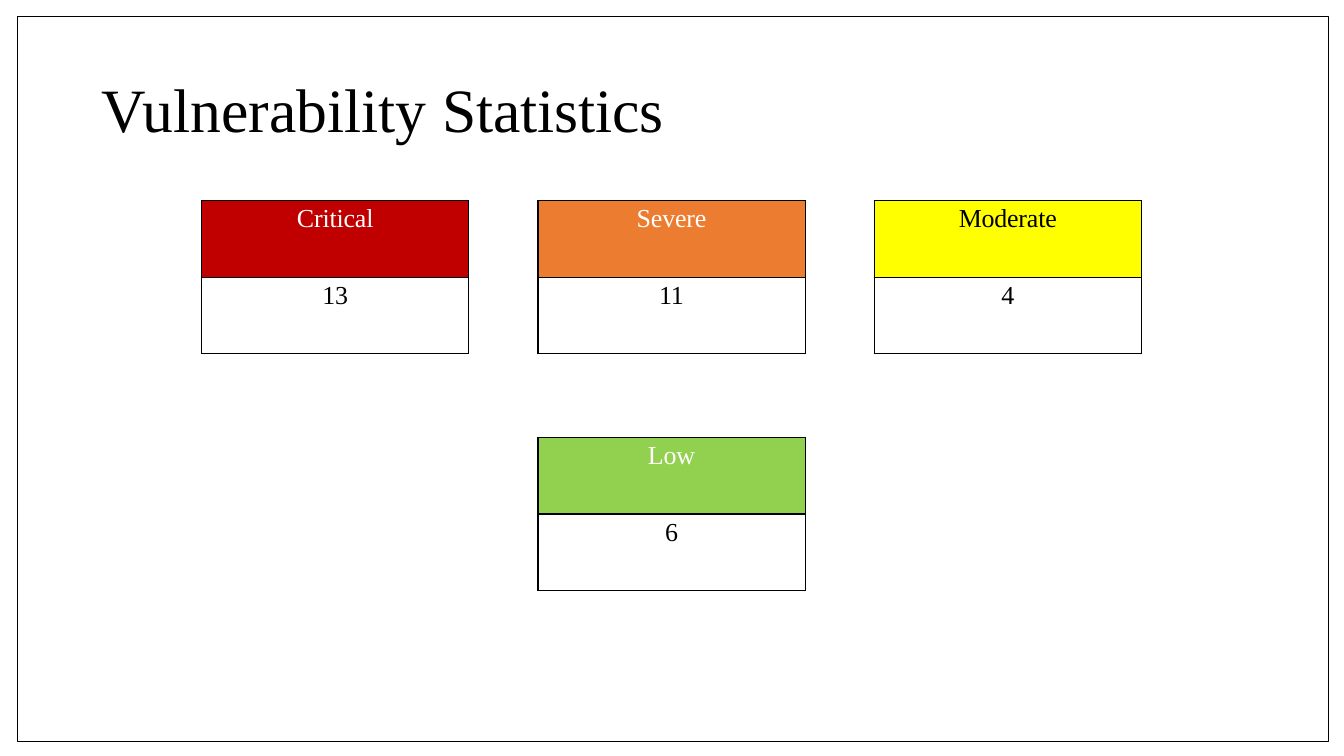
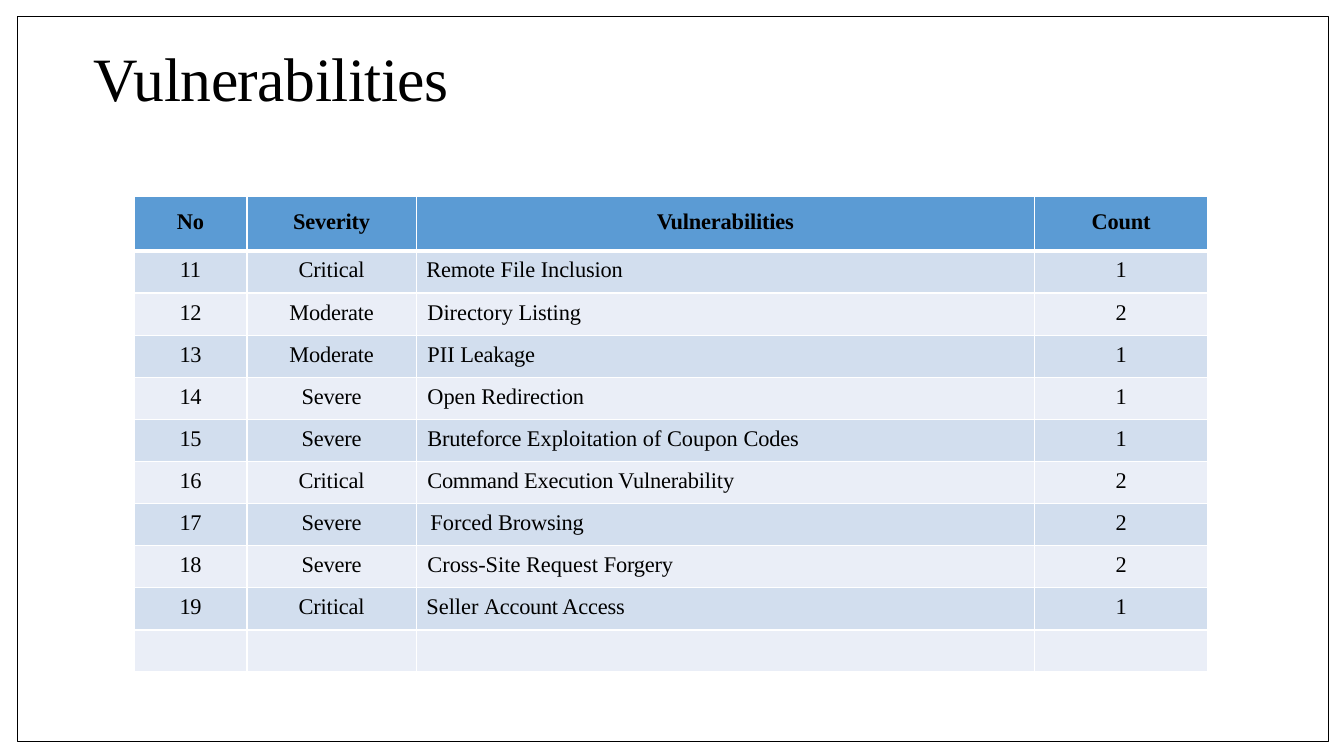
import pptx
import pptx.util
import pptx.dml.color
import pptx.enum.shapes
import pptx.enum.text
import lxml.etree
from pptx.util import Inches

FONT = "Times New Roman"
BLACK, WHITE = "000000", "FFFFFF"
HEADER_BLUE, BAND_DARK, BAND_LIGHT = "5B9BD4", "D2DEEE", "EAEEF7"
LEFT = pptx.enum.text.PP_ALIGN.LEFT
CENTER = pptx.enum.text.PP_ALIGN.CENTER
color = pptx.dml.color.RGBColor.from_string


def add_spans(para, spans, size, ink, bold=False):
    for text, spacing in spans:
        span = para.add_run()
        span.text = text
        span.font.name = FONT
        span.font.size = pptx.util.Pt(size)
        span.font.bold = bold
        span.font.color.rgb = color(ink)
        span.font._element.set("spc", str(round(spacing * 100)))


def format_cell(cell, fill, border, top, align=CENTER, indent=0, bottom_width=1, top_width=1):
    cell.margin_left = cell.margin_right = cell.margin_bottom = 0
    cell.margin_top = Inches(top)
    properties = cell._tc.get_or_add_tcPr()
    namespace = "{http://schemas.openxmlformats.org/drawingml/2006/main}"
    for side, width in (("L", 1), ("R", 1), ("T", top_width), ("B", bottom_width)):
        line = lxml.etree.SubElement(properties, namespace + "ln" + side, w=str(pptx.util.Pt(width)))
        solid = lxml.etree.SubElement(line, namespace + "solidFill")
        lxml.etree.SubElement(solid, namespace + "srgbClr", val=border)
    if fill:
        cell.fill.solid()
        cell.fill.fore_color.rgb = color(fill)
    else:
        cell.fill.background()
    para = cell.text_frame.paragraphs[0]
    para.alignment = align
    if indent:
        para._p.get_or_add_pPr().set("marL", str(Inches(indent)))
    return para


deck = pptx.Presentation()
deck.slide_width, deck.slide_height = Inches(13.33), Inches(7.5)

titles = [
    ([("Vulnerability ", 0), ("Statistics", -0.1)], 1, 0.69, 5.61),
    ([("Vulnerabilities", -0.4)], 0.92, 0.39, 3.59),
]
for spans, left, top, width in titles:
    page = deck.slides.add_slide(deck.slide_layouts[5])
    title = page.shapes.title
    title.left, title.top = Inches(left), Inches(top)
    title.width, title.height = Inches(width), Inches(0.76)
    box = title.text_frame
    box.margin_left = box.margin_top = Inches(0.01)
    box.margin_right = box.margin_bottom = 0
    box.vertical_anchor = pptx.enum.text.MSO_ANCHOR.TOP
    box.auto_size = pptx.enum.text.MSO_AUTO_SIZE.NONE
    box.word_wrap = True
    box.paragraphs[0].alignment = LEFT
    add_spans(box.paragraphs[0], spans, 44, BLACK)
statistics_page, list_page = deck.slides

cards = [
    ("Critical", "13", "C00000", WHITE, 0, 0),
    ("Severe", "11", "EC7C30", WHITE, 1, 0),
    ("Moderate", "4", "FFFF00", BLACK, 2, 0),
    ("Low", "6", "92D050", WHITE, 1, 1),
]
column_step, row_step = (8.67 - 2) / 2, 2.35
for label, count, fill, ink, column, row in cards:
    card = statistics_page.shapes.add_table(
        2, 1, Inches(2 + column * column_step), Inches(1.99 + row * row_step),
        Inches(2.65), Inches(1.52)).table
    card.first_row = card.horz_banding = False
    label_para = format_cell(card.cell(0, 0), fill, BLACK, 0.04)
    add_spans(label_para, [(label, -0.1)], 18.5, ink)
    count_para = format_cell(card.cell(1, 0), None, BLACK, 0.04)
    add_spans(count_para, [(count, -0.2)], 18.5, BLACK)

headings = ["No", "Severity", "Vulnerabilities", "Count"]
findings = [
    ("Critical", [("Remote ", -0.1), ("File ", 0), ("Inclusion", -0.1)], 0.1, "1"),
    ("Moderate", [("Directory ", 0), ("Listing", -0.1)], 0.11, "2"),
    ("Moderate", [("PII ", 0), ("Leakage", -0.1)], 0.11, "1"),
    ("Severe", [("Open ", 0), ("Redirection", -0.1)], 0.11, "1"),
    ("Severe", [("Bruteforce ", -0.1), ("Exploitation of Coupon ", 0), ("Codes", -0.1)], 0.11, "1"),
    ("Critical", [("Command ", -0.2), ("Execution Vulnerability", -0.1)], 0.11, "2"),
    ("Severe", [("Forced ", 0), ("Browsing", -0.1)], 0.14, "2"),
    ("Severe", [("Cross-Site Request ", 0), ("Forgery", -0.1)], 0.11, "2"),
    ("Critical", [("Seller ", 0), ("Account", -0.2), (" Access", -0.1)], 0.1, "1"),
]
row_count = len(findings) + 2
table_height, header_height = 4.72, 0.54
table = list_page.shapes.add_table(
    row_count, len(headings), Inches(1.33), Inches(1.95), Inches(10.65), Inches(table_height)).table
table.horz_banding = False
for column, width in zip(table.columns, (1.12, 1.68, 6.13, 1.72)):
    column.width = Inches(width)
for row in table.rows:
    row.height = Inches((table_height - header_height) / (row_count - 1))
table.rows[0].height = Inches(header_height)

for column, heading in enumerate(headings):
    para = format_cell(table.cell(0, column), HEADER_BLUE, WHITE, 0.13, bottom_width=3)
    add_spans(para, [(heading, -0.1)], 16, BLACK, bold=True)
for row in range(1, row_count):
    fill = BAND_DARK if row % 2 else BAND_LIGHT
    contents, indent = [[]] * len(headings), 0
    if row <= len(findings):
        severity, name, indent, count = findings[row - 1]
        contents = [[(str(row + 10), -0.2)], [(severity, -0.1)], name, [(count, -0.5)]]
    for column, spans in enumerate(contents):
        is_name = headings[column] == "Vulnerabilities"
        para = format_cell(
            table.cell(row, column), fill, WHITE, 0.07, LEFT if is_name else CENTER,
            indent if is_name else 0, top_width=3 if row == 1 else 1)
        add_spans(para, spans, 16, BLACK)

for page in deck.slides:
    frame = page.shapes.add_shape(
        pptx.enum.shapes.MSO_SHAPE.RECTANGLE, Inches(0.17), Inches(0.16), Inches(13), Inches(7.19))
    frame.shadow.inherit = False
    frame.fill.background()
    frame.line.color.rgb = color(BLACK)
    frame.line.width = pptx.util.Pt(0.25)

deck.save("out.pptx")
